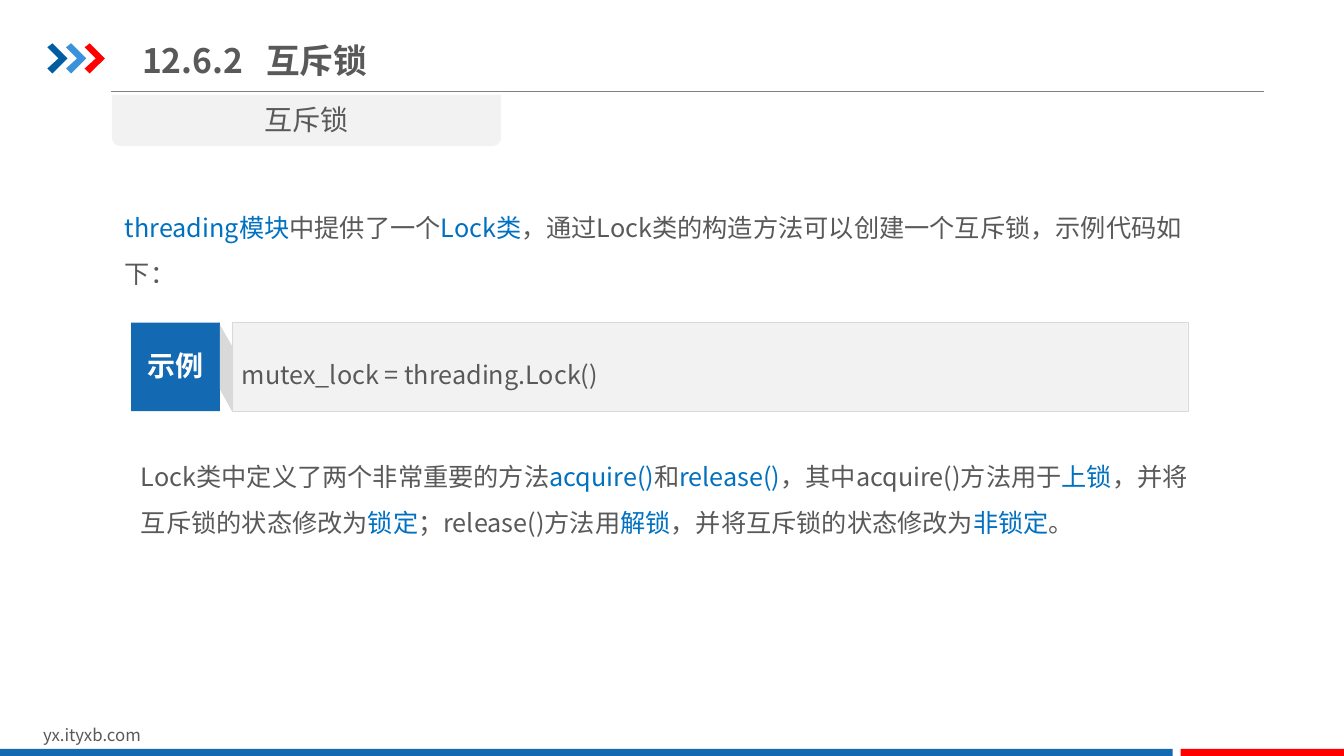
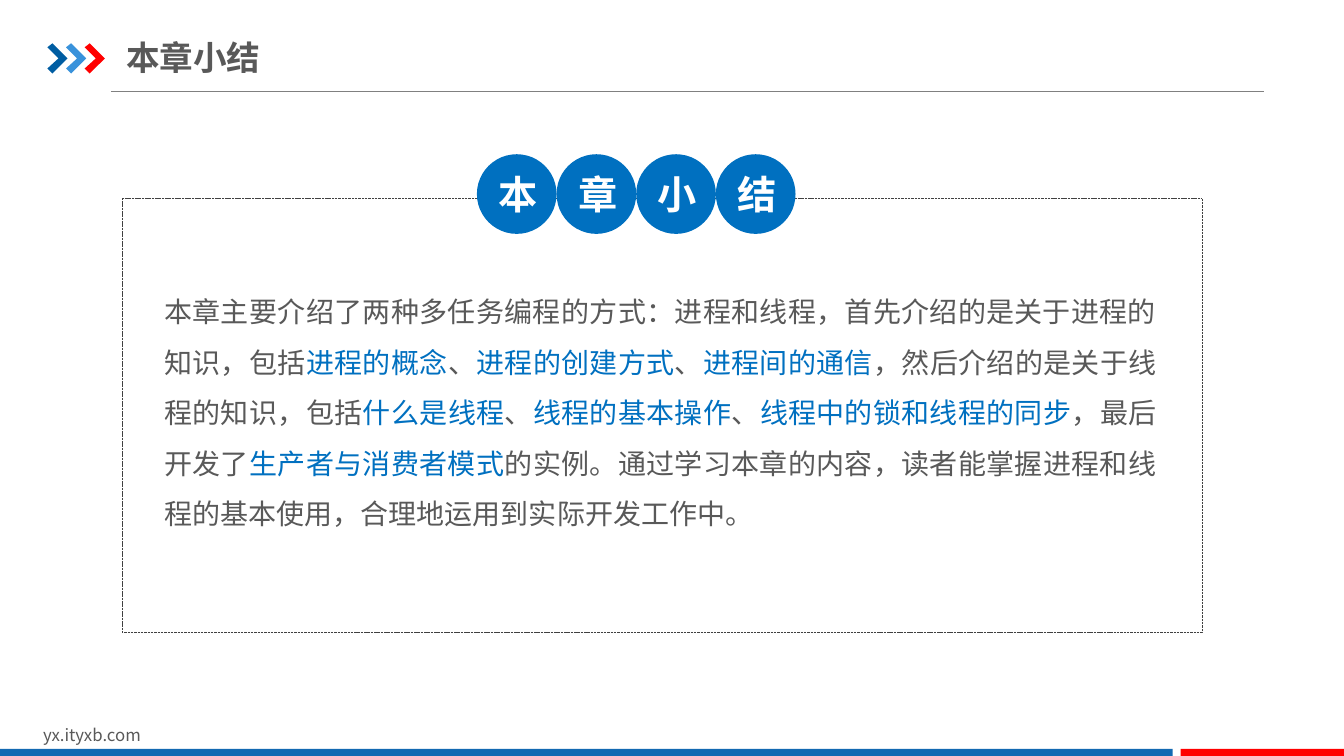
from lxml import etree
from pptx import Presentation
from pptx.dml.color import RGBColor
from pptx.enum.dml import MSO_LINE
from pptx.enum.shapes import MSO_CONNECTOR, MSO_SHAPE
from pptx.enum.text import MSO_ANCHOR, PP_ALIGN
from pptx.oxml.ns import qn
from pptx.util import Inches, Pt

# Content: text between asterisks is highlighted
FOOTER = "yx.ityxb.com"
LOCK_TITLE = "12.6.2\t互斥锁"
LOCK_TAB = "互斥锁"
LOCK_INTRO = ("*threading模块*中提供了一个*Lock类*，通过Lock类的构造方法"
              "可以创建一个互斥锁，示例代码如下：")
EXAMPLE_LABEL = "示例"
EXAMPLE_CODE = "mutex_lock = threading.Lock()"
LOCK_METHODS = ("Lock类中定义了两个非常重要的方法*acquire()*和*release()*"
                "，其中acquire()方法用于*上锁*，并将互斥锁的状态修改为*锁定*"
                "；release()方法用*解锁*，并将互斥锁的状态修改为*非锁定*。")
SUMMARY_TITLE = "本章小结"
SUMMARY = ("本章主要介绍了两种多任务编程的方式：进程和线程，首先介绍的是关于进程的知识，包括"
           "*进程的概念*、*进程的创建方式*、*进程间的通信*，然后介绍的是关于线程的知识，包括"
           "*什么是线程*、*线程的基本操作*、*线程中的锁和线程的同步*，最后开发了"
           "*生产者与消费者模式*的实例。通过学习本章的内容，读者能掌握进程和线程的基本使用，"
           "合理地运用到实际开发工作中。")

# Style
FONT = "Noto Sans CJK SC"
WHITE = RGBColor(0xFF, 0xFF, 0xFF)
TEXT = RGBColor(0x59, 0x59, 0x59)
ACCENT = RGBColor(0x00, 0x70, 0xC0)
BAND = RGBColor(0x13, 0x69, 0xB2)
RED = RGBColor(0xFF, 0x00, 0x00)
NAVY = RGBColor(0x00, 0x5D, 0xA2)
SKY = RGBColor(0x39, 0x92, 0xDB)
PANEL = RGBColor(0xF2, 0xF2, 0xF2)
EDGE = RGBColor(0xD9, 0xD9, 0xD9)
RULE = RGBColor(0x80, 0x80, 0x80)
FRAME = RGBColor(0x40, 0x40, 0x40)
INSETS = (0.1, 0.05, 0.1, 0.05)


def write(tf, text, size, color=TEXT, bold=False, align=PP_ALIGN.LEFT,
          spacing=None, anchor=MSO_ANCHOR.TOP, insets=INSETS, tab=None):
    tf.word_wrap = True
    tf.vertical_anchor = anchor
    (tf.margin_left, tf.margin_top,
     tf.margin_right, tf.margin_bottom) = [Inches(v) for v in insets]
    p = tf.paragraphs[0]
    p.alignment = align
    if spacing:
        p.line_spacing = spacing
    if tab:
        tabs = etree.SubElement(p._p.get_or_add_pPr(), qn("a:tabLst"))
        etree.SubElement(tabs, qn("a:tab"), pos=str(Inches(tab)), algn="l")
    for i, part in enumerate(text.split("*")):
        if not part:
            continue
        r = p.add_run()
        r.text = part
        r.font.size, r.font.bold, r.font.name = Pt(size), bold, FONT
        r.font.color.rgb = ACCENT if i % 2 else color
        ea = etree.SubElement(r.font._element, qn("a:ea"))
        ea.set("typeface", FONT)


def paint(sp, fill=None, line=None, width=0.25):
    sp.shadow.inherit = False
    if fill is None:
        sp.fill.background()
    else:
        sp.fill.solid()
        sp.fill.fore_color.rgb = fill
    if line is None:
        sp.line.fill.background()
    else:
        sp.line.color.rgb = line
        sp.line.width = Pt(width)
    return sp


def add_box(s, at, fill=None, line=None, kind=MSO_SHAPE.RECTANGLE):
    return paint(s.shapes.add_shape(kind, *[Inches(v) for v in at]), fill, line)


def add_text(s, at, text, size, **style):
    sp = s.shapes.add_textbox(*[Inches(v) for v in at])
    write(sp.text_frame, text, size, **style)


def add_outline(s, points, fill):
    pts = [(Inches(x), Inches(y)) for x, y in points]
    fb = s.shapes.build_freeform(*pts[0])
    fb.add_line_segments(pts[1:], close=True)
    paint(fb.convert_to_shape(), fill)


def set_title(s, at, text, **style):
    title = s.shapes.title
    title.left, title.top, title.width, title.height = [Inches(v) for v in at]
    write(title.text_frame, text, 24, bold=True, anchor=MSO_ANCHOR.MIDDLE, **style)


def furnish_layout(s, layout):
    """Draw the shared rule, chevrons and footer, then move them to the layout."""
    for ph in list(layout.placeholders):
        if ph.placeholder_format.idx != 0:
            ph.element.getparent().remove(ph.element)
    rule = s.shapes.add_connector(MSO_CONNECTOR.STRAIGHT, Inches(1.1), Inches(0.91),
                                  Inches(12.54), Inches(0.91))
    rule.line.color.rgb = RULE
    rule.line.width = Pt(0.75)
    etree.SubElement(rule._element.spPr, qn("a:effectLst"))
    chevron = [(0, 0.47), (0.05, 0.43), (0.2, 0.58), (0.05, 0.73), (0, 0.68), (0.11, 0.58)]
    for i, color in enumerate((NAVY, SKY, RED)):
        left = 0.47 + i * 0.185
        add_outline(s, [(left + x, y) for x, y in chevron], color)
    add_text(s, (0.33, 7.14, 3.18, 0.3), FOOTER, 12)
    add_box(s, (0, 7.43, 11.63, 0.09), BAND)
    add_box(s, (11.71, 7.43, 1.63, 0.09), RED)
    for sp in list(s.shapes):
        if not sp.is_placeholder:
            layout.shapes.element.append(sp.element)


def build_lock(s):
    set_title(s, (1.31, 0.29, 6.34, 0.61), LOCK_TITLE, tab=1.23)
    # Section tab
    tab = add_box(s, (1.11, 0.94, 3.86, 0.51), PANEL, kind=MSO_SHAPE.ROUND_2_SAME_RECTANGLE)
    tab.rotation = 180
    add_text(s, (1.11, 0.97, 3.86, 0.44), LOCK_TAB, 20, align=PP_ALIGN.CENTER)
    # Explanations
    add_text(s, (1.14, 1.91, 10.83, 1.01), LOCK_INTRO, 18, spacing=1.5)
    add_text(s, (1.3, 4.38, 10.68, 1.01), LOCK_METHODS, 18, spacing=1.5)
    # Code example
    code = add_box(s, (2.3, 3.2, 9.48, 0.88), PANEL, EDGE)
    write(code.text_frame, EXAMPLE_CODE, 18, spacing=1.5, anchor=MSO_ANCHOR.MIDDLE)
    label = add_box(s, (1.3, 3.2, 0.88, 0.88), BAND)
    write(label.text_frame, EXAMPLE_LABEL, 20, WHITE, True, PP_ALIGN.CENTER,
          anchor=MSO_ANCHOR.MIDDLE, insets=(0, 0, 0, 0.04))
    add_outline(s, [(2.3, 3.43), (2.3, 4.08), (2.18, 3.86), (2.18, 3.22)], EDGE)


def build_summary(s):
    set_title(s, (1.25, 0.29, 6.2, 0.55), SUMMARY_TITLE, insets=(0, 0.07, 0, 0.07))
    frame = add_box(s, (1.21, 1.97, 10.71, 4.3), line=FRAME)
    frame.line.dash_style = MSO_LINE.SQUARE_DOT
    add_text(s, (1.63, 2.76, 9.84, 2.52), SUMMARY, 20, spacing=1.5,
             align=PP_ALIGN.JUSTIFY, insets=(0, 0, 0, 0))
    # One disc per character of the heading
    size = 0.79
    for i, char in enumerate(SUMMARY_TITLE):
        disc = add_box(s, (4.73 + i * size, 1.53, size, size), ACCENT, kind=MSO_SHAPE.OVAL)
        write(disc.text_frame, char, 28, WHITE, True, PP_ALIGN.CENTER,
              anchor=MSO_ANCHOR.MIDDLE)


def main():
    prs = Presentation()
    prs.slide_width, prs.slide_height = Inches(13.33), Inches(7.5)
    layout = prs.slide_layouts[5]
    lock = prs.slides.add_slide(layout)
    furnish_layout(lock, layout)
    build_lock(lock)
    build_summary(prs.slides.add_slide(layout))
    prs.save("out.pptx")


if __name__ == "__main__":
    main()
